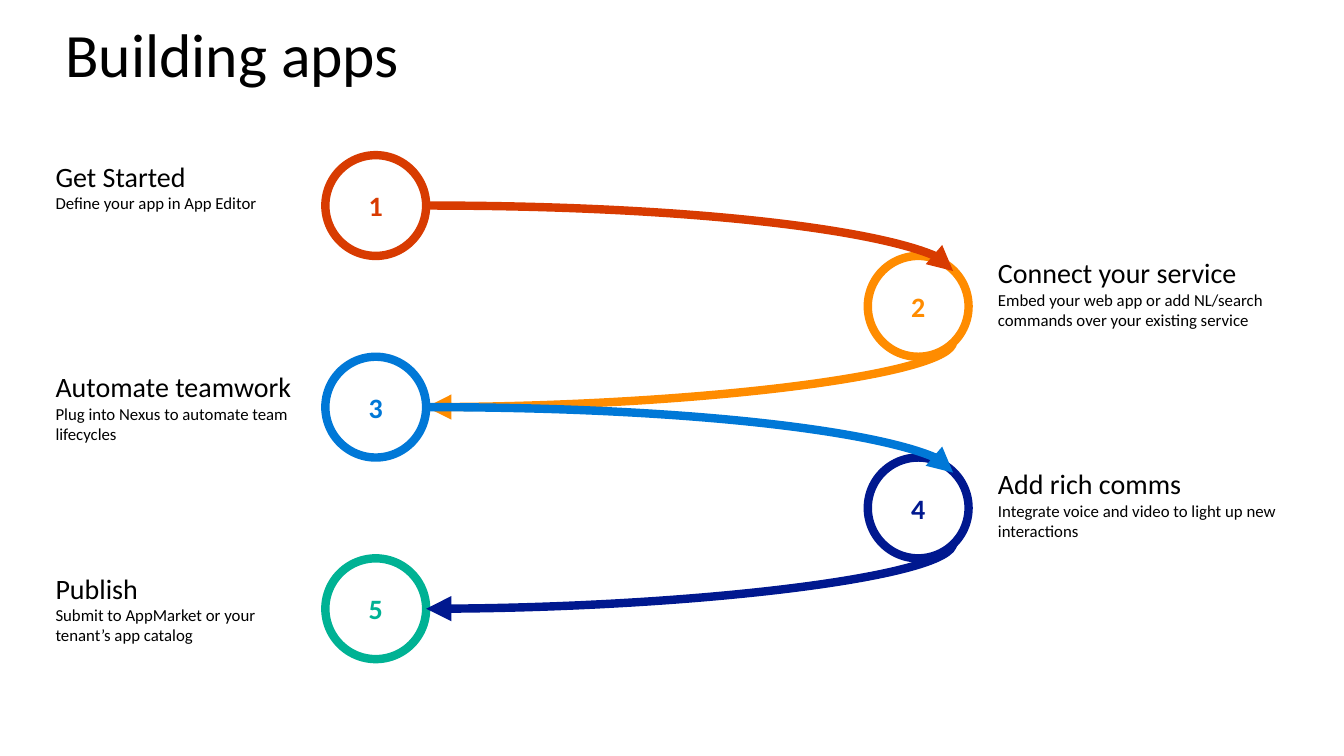
from lxml.etree import SubElement
from pptx import Presentation
from pptx.dml.color import RGBColor
from pptx.enum.shapes import MSO_CONNECTOR, MSO_SHAPE
from pptx.enum.text import MSO_ANCHOR as ANCHOR, MSO_AUTO_SIZE as AUTO, PP_ALIGN as ALIGN
from pptx.oxml.ns import qn
from pptx.util import Cm, Pt

LEFT_CIRCLE, RIGHT_CIRCLE = 8.2, 21.87
FIRST_TOP, DIAMETER = 3.91, 2.54
ARROW_END, ARROW_HEIGHT = 24.02, 1.65
LEFT_TEXT, RIGHT_TEXT = 1.4, 25.15

STEPS = [
    ("D83B01", 4.01, 6.43, "Get Started", "Define your app in App Editor"),
    ("FF8C00", 6.45, 8.15, "Connect your service",
     "Embed your web app or add NL/search commands over your existing service"),
    ("0078D7", 9.32, 6.43, "Automate teamwork",
     "Plug into Nexus to automate team lifecycles"),
    ("00188F", 11.76, 7.95, "Add rich comms",
     "Integrate voice and video to light up new interactions"),
    ("00B294", 14.4, 6.43, "Publish",
     "Submit to AppMarket or your tenant’s app catalog"),
]


def rgb(value):
    return RGBColor.from_string(value)


class Deck:
    font = "Calibri"
    text_color = "000000"
    line_width = Pt(6)

    def __init__(self):
        self.prs = Presentation()
        self.prs.slide_width, self.prs.slide_height = Cm(33.87), Cm(19.05)
        self.s = self.prs.slides.add_slide(self.prs.slide_layouts[6])

    def style(self, p, size, color, bold=False):
        for r in p.runs:
            r.font.name, r.font.size, r.font.bold = self.font, Pt(size), bold
            r.font.color.rgb = rgb(color)

    def insets(self, tf, x, y):
        tf.margin_left = tf.margin_right = Cm(x)
        tf.margin_top = tf.margin_bottom = Cm(y)

    def title(self, text):
        tf = self.s.shapes.add_textbox(Cm(1.4), Cm(0.41), Cm(31.5), Cm(2.06)).text_frame
        tf.word_wrap = True
        tf.vertical_anchor = ANCHOR.MIDDLE
        tf.text = text
        p = tf.paragraphs[0]
        p.line_spacing = 0.9
        self.style(p, 44, self.text_color)

    def circle(self, x, y, text, color):
        sp = self.s.shapes.add_shape(MSO_SHAPE.OVAL, Cm(x), Cm(y), Cm(DIAMETER), Cm(DIAMETER))
        sp.shadow.inherit = False
        sp.fill.solid()
        sp.fill.fore_color.rgb = rgb("FFFFFF")
        sp.line.color.rgb = rgb(color)
        sp.line.width = self.line_width
        tf = sp.text_frame
        self.insets(tf, 0.51, 0.41)
        tf.vertical_anchor = ANCHOR.MIDDLE
        tf.text = text
        p = tf.paragraphs[0]
        p.alignment = ALIGN.CENTER
        self.style(p, 20, color, True)

    def curve(self, x, y, width, height, color, turned):
        if turned:
            x, y = x + (width - height) / 2, y + (height - width) / 2
            width, height = height, width
        cxn = self.s.shapes.add_connector(
            MSO_CONNECTOR.CURVE, Cm(x), Cm(y), Cm(x + width), Cm(y + height))
        cxn.line.color.rgb = rgb(color)
        cxn.line.width = self.line_width
        sp_pr = cxn._element.spPr
        sp_pr.find(qn("a:prstGeom")).set("prst", "curvedConnector2")
        if turned:
            sp_pr.find(qn("a:xfrm")).set("rot", "5400000")
        SubElement(sp_pr.find(qn("a:ln")), qn("a:tailEnd"), type="triangle")
        SubElement(sp_pr, qn("a:effectLst"))

    def label(self, x, y, width, heading, detail):
        height = 1.37 if heading == "Get Started" else 1.88
        tf = self.s.shapes.add_textbox(Cm(x), Cm(y), Cm(width), Cm(height)).text_frame
        tf.word_wrap = True
        tf.auto_size = AUTO.SHAPE_TO_FIT_TEXT
        self.insets(tf, 0, 0)
        tf.text = f"{heading}\n{detail}"
        for p, size in zip(tf.paragraphs, (20, 12)):
            self.style(p, size, self.text_color)


def main():
    deck = Deck()
    deck.title("Building apps")
    for i, (color, *_) in enumerate(STEPS):
        x = RIGHT_CIRCLE if i % 2 else LEFT_CIRCLE
        deck.circle(x, FIRST_TOP + i * DIAMETER, str(i + 1), color)

    arrow_start = LEFT_CIRCLE + DIAMETER
    for i, (color, *_) in enumerate(STEPS[:-1]):
        turned = i % 2 == 1
        center = FIRST_TOP + (i + 0.5) * DIAMETER
        y = center + DIAMETER - ARROW_HEIGHT if turned else center
        deck.curve(arrow_start, y, ARROW_END - arrow_start, ARROW_HEIGHT, color, turned)

    for i, (_, y, width, heading, detail) in enumerate(STEPS):
        deck.label(RIGHT_TEXT if i % 2 else LEFT_TEXT, y, width, heading, detail)
    deck.prs.save("out.pptx")


if __name__ == "__main__":
    main()
